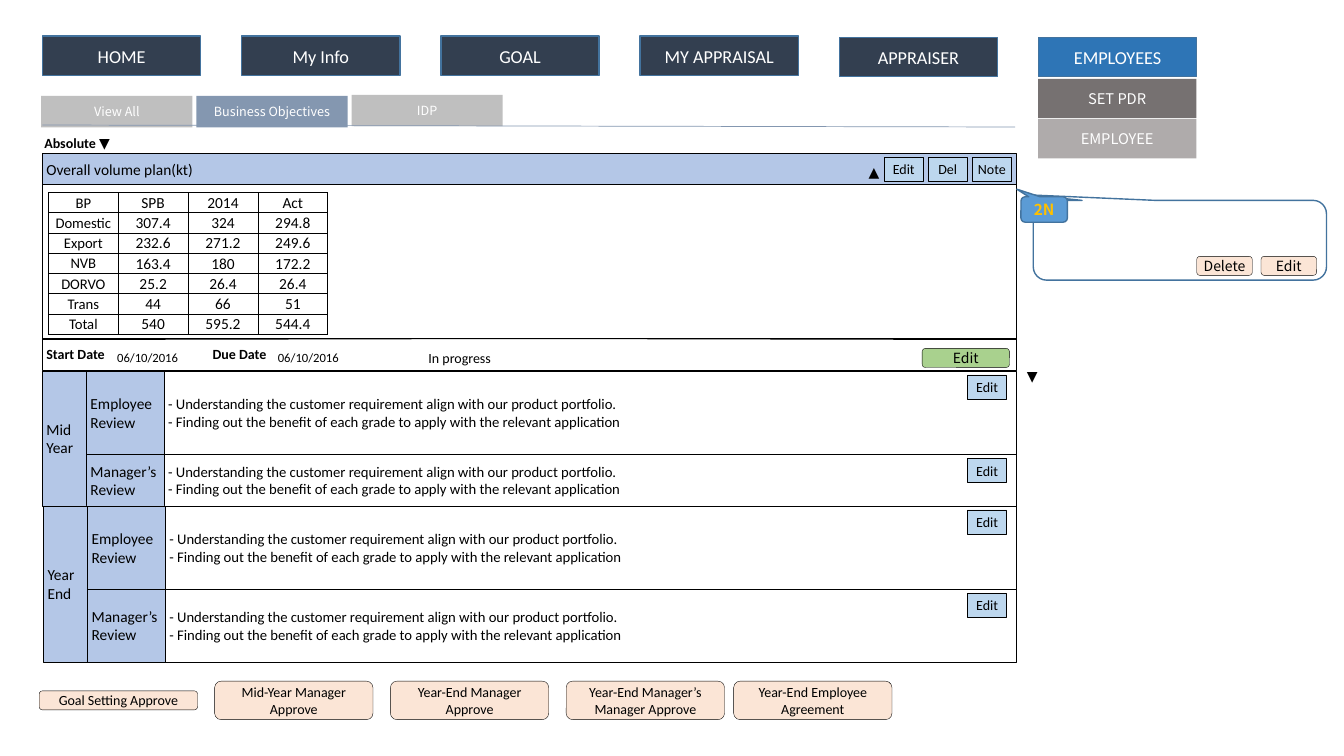
"""Build the appraisal screen slide with its objective, reviews and approvals."""
from lxml import etree
from pptx import Presentation
from pptx.dml.color import RGBColor
from pptx.enum import shapes, text
from pptx.oxml import ns
from pptx.util import Cm, Pt

NAV = [("HOME", 0.91), ("My Info", 0.91), ("GOAL", 0.91), ("MY APPRAISAL", 0.91),
       ("APPRAISER", 0.94), ("EMPLOYEES", 0.94)]
SUBMENU = [("SET PDR", "767171"), ("EMPLOYEE", "AFABAB")]
TABS = [("View All", "BFBFBF", 2.42), ("Business Objectives", "8497B0", 2.42), ("IDP", "BFBFBF", 2.39)]
PLAN = [
    ("BP", "SPB", "2014", "Act"),
    ("Domestic", "307.4", "324", "294.8"),
    ("Export", "232.6", "271.2", "249.6"),
    ("NVB", "163.4", "180", "172.2"),
    ("DORVO", "25.2", "26.4", "26.4"),
    ("Trans", "44", "66", "51"),
    ("Total", "540", "595.2", "544.4"),
]
REVIEW = ("- Understanding the customer requirement align with our product portfolio.\n"
          "- Finding out the benefit of each grade to apply with the relevant application")
PERIODS = [
    ("Mid\vYear", 1.07, [("Employee\vReview", 2.1), ("Manager’s\vReview", 1.3)]),
    ("Year\vEnd", 1.1, [("Employee\vReview", 2.1), ("Manager’s\vReview", 1.83)]),
]
APPROVALS = [
    ("Goal Setting Approve", 0.99, 0.48),
    ("Mid-Year Manager Approve", 5.41, 0.97),
    ("Year-End Manager Approve", 9.84, 0.97),
    ("Year-End Manager’s Manager Approve", 14.27, 0.97),
    ("Year-End Employee Agreement", 18.49, 0.97),
]
LATIN, NOTO = "Calibri", "Noto Sans CJK KR"
BLACK, WHITE, STEEL = "000000", "FFFFFF", "43739E"
PERIWINKLE, SKY, PEACH = "B4C7E7", "BDD7EE", "FBE5D6"
LEFT, WIDTH = 1.07, 24.54
CENTER, START = text.PP_ALIGN.CENTER, text.PP_ALIGN.LEFT
RECT, ROUND = shapes.MSO_SHAPE.RECTANGLE, shapes.MSO_SHAPE.ROUNDED_RECTANGLE
CALLOUT = shapes.MSO_SHAPE.ROUNDED_RECTANGULAR_CALLOUT


def rgb(value):
    return RGBColor.from_string(value)


def paint(sp, fill, line, weight):
    if fill:
        sp.fill.solid()
        sp.fill.fore_color.rgb = rgb(fill)
    else:
        sp.fill.background()
    if line:
        sp.line.color.rgb = rgb(line)
        sp.line.width = Pt(weight)
    else:
        sp.line.fill.background()


def style(tf, size, align=CENTER, color=BLACK, font=LATIN, bold=False):
    for p in tf.paragraphs:
        p.alignment = align
        p.font.size = Pt(size)
        p.font.name = font
        p.font.bold = bold
        p.font.color.rgb = rgb(color)


def write(sp, words, size, inset=(0.1, 0.1), **look):
    tf = sp.text_frame
    tf.word_wrap = True
    tf.auto_size = text.MSO_AUTO_SIZE.NONE
    tf.vertical_anchor = text.MSO_ANCHOR.MIDDLE
    tf.margin_left = tf.margin_right = Cm(inset[0])
    tf.margin_top = tf.margin_bottom = Cm(inset[1])
    tf.text = words
    style(tf, size, **look)
    return tf


def box(s, at, words="", size=10, fill=None, line=BLACK, weight=0.25, kind=RECT, **look):
    sp = s.shapes.add_shape(kind, *map(Cm, at))
    sp.shadow.inherit = False
    paint(sp, fill, line, weight)
    if words:
        write(sp, words, size, **look)
    return sp


def label(s, at, words, size, **look):
    return write(s.shapes.add_textbox(*map(Cm, at)), words, size, **look)


def button(s, left, top, words):
    box(s, (left, top, 0.99, 0.61), words, fill=SKY)


def pill(s, at, words, fill=PEACH, font=LATIN):
    box(s, at, words, fill=fill, kind=ROUND, inset=(0.05, 0), font=font)


def add_navigation(s):
    for i, (name, top) in enumerate(NAV):
        fill = "2E75B6" if name == "EMPLOYEES" else "333F50"
        box(s, (LEFT + 5.02 * i, top, 3.99, 0.99), name, 13, fill, STEEL, 1, color=WHITE)
    for i, (name, fill) in enumerate(SUBMENU):
        box(s, (26.16, 1.99 + 1.01 * i, 3.99, 0.99), name, 10.5, fill, None, color=WHITE, font=NOTO)
    for i, (name, fill, top) in enumerate(TABS):
        box(s, (1.04 + 3.91 * i, top, 3.81, 0.79), name, 9, fill, None, color=WHITE, font=NOTO)
    rule = s.shapes.add_connector(shapes.MSO_CONNECTOR.STRAIGHT, Cm(LEFT), Cm(3.15), Cm(25.58), Cm(3.2))
    rule.line.color.rgb = rgb("8497B0")
    rule.line.width = Pt(0.5)
    etree.SubElement(rule._element.spPr, ns.qn("a:effectLst"))


def add_plan_table(s):
    frame = s.shapes.add_table(len(PLAN), len(PLAN[0]), Cm(1.22), Cm(4.85), Cm(7.04), Cm(3.57))
    table = frame.table
    table.first_row = table.horz_banding = False
    for column in table.columns:
        column.width = Cm(1.76)
    for i, values in enumerate(PLAN):
        table.rows[i].height = Cm(0.51)
        for j, value in enumerate(values):
            cell = table.cell(i, j)
            cell.text = value
            cell.vertical_anchor = text.MSO_ANCHOR.MIDDLE
            cell.margin_left = cell.margin_right = cell.margin_top = Cm(0.03)
            cell.margin_bottom = 0
            style(cell.text_frame, 11 if j else 10.5)
            tcPr = cell._tc.get_or_add_tcPr()
            for side in ("lnL", "lnR", "lnT", "lnB"):
                ln = etree.SubElement(tcPr, ns.qn("a:" + side), w=str(Pt(0.5)))
                solid = etree.SubElement(ln, ns.qn("a:solidFill"))
                etree.SubElement(solid, ns.qn("a:srgbClr"), val=BLACK)
            cell.fill.background()


def add_objective(s):
    tf = label(s, (LEFT, 3.33, 4.22, 0.53), "Absolute ", 10, inset=(0.05, 0.05), align=START, bold=True)
    r = tf.paragraphs[0].add_run()
    r.text = "▼"
    r.font.bold = False
    box(s, (LEFT, 4.65, WIDTH, 3.89))
    title = s.shapes.title
    title.left, title.top, title.width, title.height = map(Cm, (LEFT, 3.86, WIDTH, 0.79))
    paint(title, PERIWINKLE, BLACK, 0.25)
    write(title, "Overall volume plan(kt)", 11, align=START)
    for i, name in enumerate(("Edit", "Del", "Note")):
        button(s, 22.28 + 1.11 * i, 3.95, name)
    label(s, (21.72, 3.98, 0.61, 0.69), "▲", 10)
    add_plan_table(s)

    dates = box(s, (LEFT, 8.53, WIDTH, 0.79), "Start Date\tDue Date", align=START, bold=True)
    pPr = dates.text_frame.paragraphs[0]._p.get_or_add_pPr()
    stops = etree.Element(ns.qn("a:tabLst"))
    etree.SubElement(stops, ns.qn("a:tab"), pos=str(Cm(4.19)), algn="l")
    pPr.insert(0, stops)
    for left in (2.77, 6.82):
        label(s, (left, 8.81, 1.9, 0.41), "06/10/2016", 9, inset=(0.05, 0.1))
    box(s, (10.34, 8.81, 2.49, 0.41), "In progress", fill=WHITE, line=None)
    pill(s, (23.24, 8.78, 2.2, 0.48), "Edit", "A9D18E", NOTO)


def add_reviews(s):
    top = 9.35
    for period, left, reviews in PERIODS:
        height = sum(h for _, h in reviews)
        box(s, (left, top, 1.11, height), period, 11, PERIWINKLE, align=START)
        for reviewer, h in reviews:
            box(s, (left + 1.11, top, 1.96, h), reviewer, 11, PERIWINKLE, align=START)
            box(s, (left + 3.07, top, 25.61 - left - 3.07, h), REVIEW, 10.5, align=START)
            button(s, 24.38, top + 0.1, "Edit")
            top += h
    label(s, (25.71, 9.14, 0.61, 0.69), "▼", 10)


def add_note(s):
    note = box(s, (26.04, 5.05, 7.39, 2.01), line=STEEL, weight=1, kind=CALLOUT)
    note.adjustments[0], note.adjustments[1] = -0.52, -0.57
    for left, name in ((30.16, "Delete"), (31.78, "Edit")):
        pill(s, (left, 6.46, 1.4, 0.48), name, font=NOTO)
    tag = box(s, (25.73, 4.96, 1.17, 0.64), "2N", 11, "5B9BD5", STEEL, 1, CALLOUT,
              color="FFC000", font=NOTO, bold=True)
    tag.adjustments[0], tag.adjustments[1] = -0.59, -0.8


def main():
    prs = Presentation()
    prs.slide_width, prs.slide_height = Cm(33.87), Cm(19.05)
    s = prs.slides.add_slide(prs.slide_layouts[5])
    add_objective(s)
    add_reviews(s)
    add_navigation(s)
    for name, left, height in APPROVALS:
        pill(s, (left, 17.8 - height / 2 - 0.15, 3.99, height), name)
    add_note(s)
    prs.save("out.pptx")


if __name__ == "__main__":
    main()
